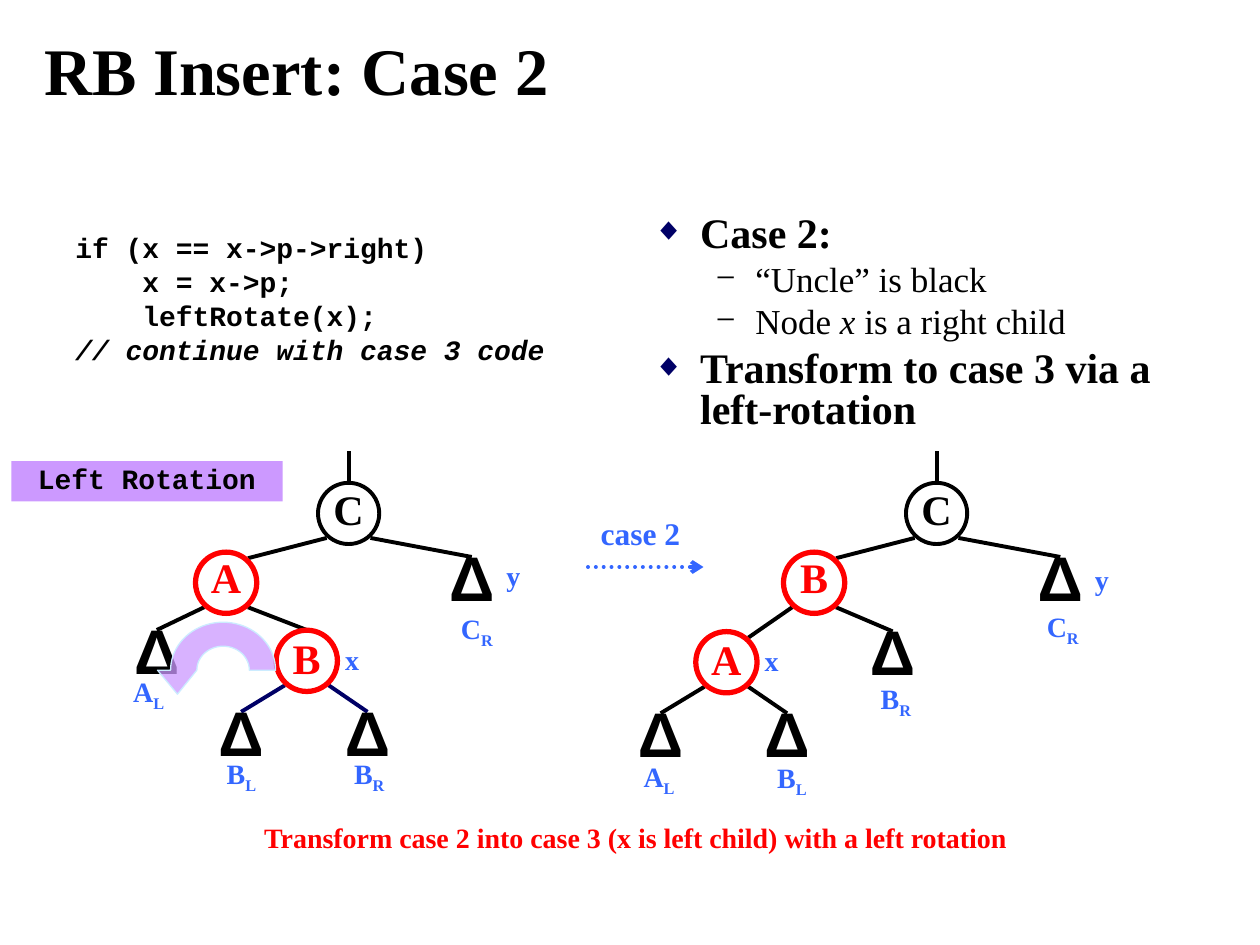
import math
from lxml import etree
from pptx import Presentation
from pptx import util as u
from pptx.dml.color import RGBColor
from pptx.enum import dml, shapes, text
from pptx.oxml.ns import qn

HUE = {"ink": "000000", "red": "FF0000", "blue": "3366FF", "navy": "000066",
       "white": "FFFFFF", "lilac": "CC99FF", "ice": "CCECFF"}
SERIF, MONO, SANS = "Times New Roman", "Courier New", "Arial"
NODE = 35  # circle diameter
DX, DY, TOP = 12.5, 14, 17.6  # where edges meet a circle


def rgb(name):
    return RGBColor.from_string(HUE[name])


def sub(parent, tag, **attrs):
    node = etree.SubElement(parent, qn(tag))
    for key, val in attrs.items():
        node.set(key, val)
    return node


class Deck:
    def __init__(self, wide, high):
        self.prs = Presentation()
        self.prs.slide_width, self.prs.slide_height = u.Pt(wide), u.Pt(high)
        self.slide = self.prs.slides.add_slide(self.prs.slide_layouts[5])
        self.items = self.slide.shapes

    def style(self, par, size, hue="ink", font=SERIF, bold=True, gap=0.8, before=0):
        par.line_spacing, par.space_before = gap, u.Pt(before)
        for run in par.runs:
            run.font.name, run.font.size = font, u.Pt(size)
            run.font.bold, run.font.color.rgb = bold, rgb(hue)

    def title(self, words, x, y, w, h):
        box = self.items.title
        box.left, box.top, box.width, box.height = map(u.Pt, (x, y, w, h))
        frame = box.text_frame
        frame.text = words
        frame.auto_size = text.MSO_AUTO_SIZE.NONE
        frame.vertical_anchor = text.MSO_ANCHOR.BOTTOM
        frame.paragraphs[0].alignment = text.PP_ALIGN.LEFT
        self.style(frame.paragraphs[0], 38, gap=1.0)

    def box(self, x, y, w, h, wrap=True):
        frame = self.items.add_textbox(*map(u.Pt, (x, y, w, h))).text_frame
        frame.word_wrap = wrap
        return frame

    def code(self, lines, x, y, w, h):
        frame = self.box(x, y, w, h)
        frame.text = "\n".join(lines)
        for i, par in enumerate(frame.paragraphs):
            self.style(par, 16, font=MONO, before=4 if i else 0)
            par.runs[0].font.italic = par.text.startswith("//")

    def list(self, rows, x, y, w, h):
        frame = self.box(x, y, w, h)
        for i, (level, parts) in enumerate(rows):
            par = frame.add_paragraph() if i else frame.paragraphs[0]
            par.level = level
            left, hang, size, before, mark, hue, scale = (
                (58.5, 22.5, 20, 5, "−", "ink", 100) if level
                else (27, 27, 24, 6, "◆", "navy", 75))
            ppr = par._p.get_or_add_pPr()
            ppr.set("marL", str(u.Pt(left)))
            ppr.set("indent", str(-u.Pt(hang)))
            sub(sub(ppr, "a:buClr"), "a:srgbClr", val=HUE[hue])
            sub(ppr, "a:buSzPct", val=str(scale * 1000))
            sub(ppr, "a:buFont", typeface=SERIF)
            sub(ppr, "a:buChar", char=mark)
            for j, part in enumerate(parts):
                run = par.add_run()
                run.text = part
                run.font.italic = j == 1
            self.style(par, size, bold=not level, before=before if i else 0)

    def label(self, words, x, y, hue="blue", size=16, low=""):
        w, h = 9 * len(words + low) + 24, 25
        frame = self.box(x - w / 2, y - h / 2, w, h, wrap=False)
        frame.vertical_anchor = text.MSO_ANCHOR.MIDDLE
        frame.text = words
        par = frame.paragraphs[0]
        par.alignment = text.PP_ALIGN.CENTER
        if low:
            run = par.add_run()
            run.text = low
            run.font._element.set("baseline", "-25000")
        self.style(par, size, hue)

    def shape(self, kind, x, y, w, h, words, fill=None, line=None, thick=2.25, wrap=False, **look):
        item = self.items.add_shape(kind, *map(u.Pt, (x, y, w, h)))
        self.paint(item, fill, line, thick)
        frame = item.text_frame
        frame.word_wrap = wrap
        frame.vertical_anchor = text.MSO_ANCHOR.MIDDLE
        frame.text = words
        frame.paragraphs[0].alignment = text.PP_ALIGN.CENTER
        self.style(frame.paragraphs[0], **look)

    def paint(self, item, fill, line, thick):
        item.shadow.inherit = False
        if fill:
            item.fill.solid()
            item.fill.fore_color.rgb = rgb(fill)
        else:
            item.fill.background()
        if line:
            item.line.color.rgb, item.line.width = rgb(line), u.Pt(thick)
        else:
            item.line.fill.background()

    def node(self, words, x, y, hue="ink", gap=0.8):
        spot = (shapes.MSO_SHAPE.OVAL, x - NODE / 2, y - NODE / 2, NODE, NODE, words)
        if words == "Δ":
            self.shape(*spot, size=36, font=SANS, gap=0.6)
        else:
            self.shape(*spot, fill="white", line=hue, thick=3 if hue == "red" else 2.25,
                       size=24, hue=hue, gap=gap)

    def line(self, x1, y1, x2, y2, hue="ink", arrow=False):
        item = self.items.add_connector(shapes.MSO_CONNECTOR.STRAIGHT,
                                        *map(u.Pt, (x1, y1, x2, y2)))
        item.line.color.rgb, item.line.width = rgb(hue), u.Pt(2.25)
        if arrow:
            item.line.dash_style = dml.MSO_LINE.ROUND_DOT
            edge = item.line._get_or_add_ln()
            edge.set("cap", "rnd")
            sub(edge, "a:tailEnd", type="arrow")
        sub(item._element.spPr, "a:effectLst")

    def tree(self, nodes, edges):
        x, y = nodes["root"][1:3]
        self.line(x, y - TOP, x, y - TOP - 18)
        for start, end, hue in edges:
            (x1, y1), (words, x2, y2) = nodes[start][1:3], nodes[end][:3]
            side = 1 if x2 > x1 else -1
            inner = side < 0 and words != "Δ"  # left circles are met at their shoulder
            self.line(x1 + side * DX, y1 + DY, x2 + DX * inner,
                      y2 - (DY if inner else TOP), hue)
        for spot in nodes.values():
            self.node(*spot)

    def turn(self, x, y, wide, high):
        arc = [(math.cos(math.pi * i / 40), -math.sin(math.pi * i / 40)) for i in range(41)]
        pts = [(x + wide * c, y + high * s) for c, s in arc]
        pts += [(x - wide * k, y + high * d) for k, d in ((1.25, 0), (0.87, 0.5), (0.5, 0))]
        pts += [(x + wide * c / 2, y + high * s / 2) for c, s in reversed(arc)]
        pts = [(u.Pt(a), u.Pt(b)) for a, b in pts]
        maker = self.items.build_freeform(*pts[0])
        maker.add_line_segments(pts[1:], close=True)
        item = maker.convert_to_shape()
        self.paint(item, "lilac", "ice", 0.75)
        tint = item._element.spPr.find(qn("a:solidFill"))[0]
        sub(tint, "a:alpha", val="75000")


def main():
    deck = Deck(720, 540)

    # Title, code and notes
    deck.title("RB Insert: Case 2", 18, 18, 678, 48)
    deck.code(["if (x == x->p->right)", "    x = x->p;", "    leftRotate(x);",
               "// continue with case 3 code"], 36, 132, 318, 132)
    deck.list([(0, ["Case 2:"]), (1, ["“Uncle” is black"]),
               (1, ["Node ", "x", " is a right child"]),
               (0, ["Transform to case 3 via a left-rotation"])], 366, 120, 318, 138)

    # Tree before the rotation
    deck.tree({"root": ("C", 199.2, 293.4), "a": ("A", 129.2, 333, "red", 0.7),
               "b": ("B", 175.3, 377.6, "red", 0.9), "cr": ("Δ", 269.6, 335.9),
               "al": ("Δ", 89.6, 377.6), "bl": ("Δ", 137.8, 424.4), "br": ("Δ", 210, 424.4)},
              [("root", "a", "ink"), ("root", "cr", "ink"), ("a", "al", "ink"),
               ("a", "b", "ink"), ("b", "bl", "navy"), ("b", "br", "navy")])

    # Tree after the rotation
    deck.tree({"root": ("C", 535.2, 293.4), "b": ("B", 465.2, 333, "red", 0.7),
               "a": ("A", 415.1, 378.4, "red", 0.9), "cr": ("Δ", 605.9, 335.9),
               "br": ("Δ", 510.1, 378.4), "al": ("Δ", 377.5, 425.2), "bl": ("Δ", 449.8, 425.2)},
              [("root", "b", "ink"), ("root", "cr", "ink"), ("b", "a", "ink"),
               ("b", "br", "ink"), ("a", "al", "ink"), ("a", "bl", "ink")])

    # Labels beside the nodes
    for words, low, x, y in (("x", "", 201.2, 378.7), ("y", "", 293.4, 330.5),
                             ("x", "", 441, 379.4), ("y", "", 629.6, 332.6),
                             ("A", "L", 85, 396.4), ("B", "L", 137.9, 443.2),
                             ("B", "R", 211, 443.2), ("C", "R", 272.5, 360.4),
                             ("A", "L", 376.6, 444.6), ("B", "L", 452.5, 445.3),
                             ("B", "R", 511.9, 400), ("C", "R", 607.3, 358.9)):
        deck.label(words, x, y, low=low)

    # Step arrow, caption and rotation mark
    deck.label("case 2", 366, 306.7, size=18)
    deck.line(336, 324, 402, 324, "blue", arrow=True)
    deck.label("Transform case 2 into case 3 (x is left child) with a left rotation",
               363.2, 480.2, "red")
    deck.turn(127.5, 383, 30, 27.4)
    deck.shape(shapes.MSO_SHAPE.RECTANGLE, 6.5, 263.5, 155, 23, "Left Rotation",
               fill="lilac", wrap=True, size=16, font=MONO)

    deck.prs.save("out.pptx")


if __name__ == "__main__":
    main()
